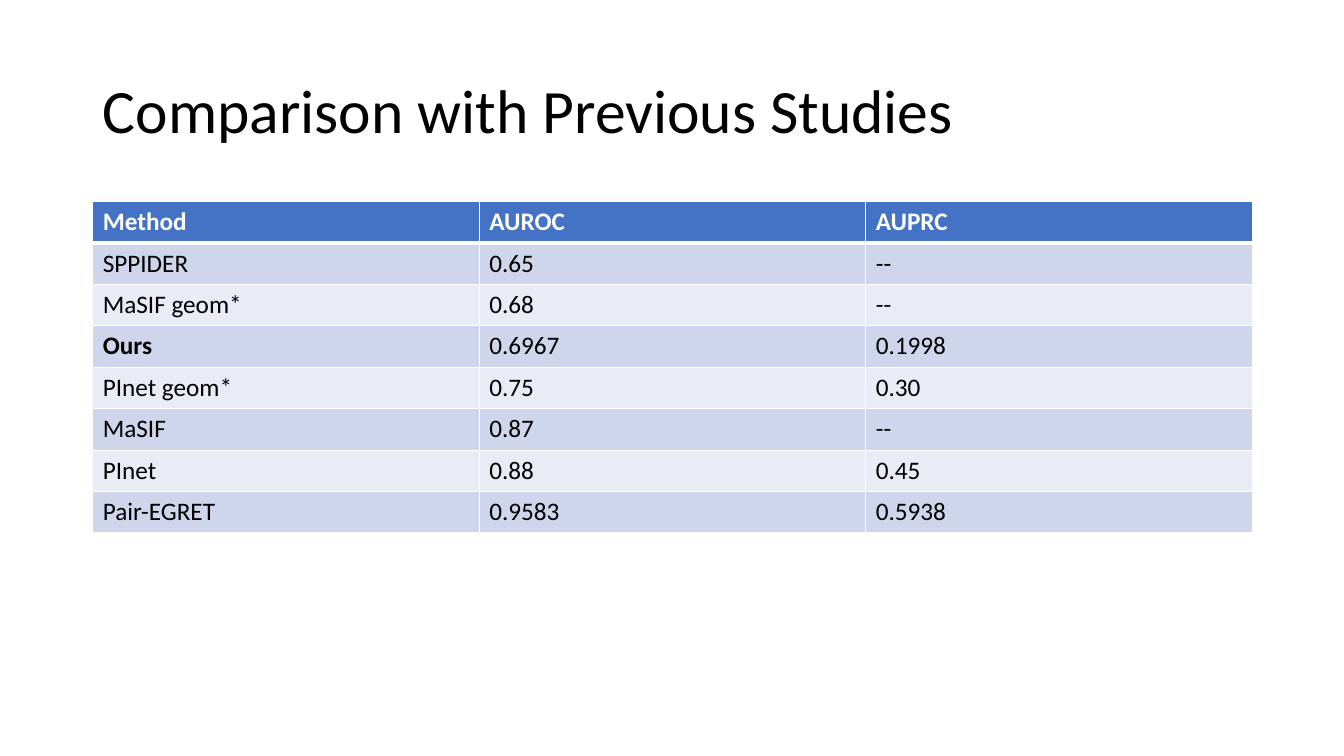
from lxml import etree
from pptx import Presentation
from pptx.dml.color import RGBColor
from pptx.enum.text import MSO_ANCHOR, PP_ALIGN
from pptx.oxml.ns import qn
from pptx.util import Inches, Pt

LEFT = PP_ALIGN.LEFT
MIDDLE = MSO_ANCHOR.MIDDLE
TITLE_ONLY = 5

BLACK = RGBColor(0x00, 0x00, 0x00)
WHITE = RGBColor(0xFF, 0xFF, 0xFF)
HEADER_BLUE = RGBColor(0x44, 0x72, 0xC4)
BAND_DARK = RGBColor(0xCF, 0xD5, 0xEA)
BAND_LIGHT = RGBColor(0xE9, 0xEB, 0xF5)

TITLE_BOX = (0.92, 0.4, 11.5, 1.45)
TABLE_BOX = (0.92, 2, 11.5, 3.29)

RESULTS = [
    ("Method", "AUROC", "AUPRC"),
    ("SPPIDER", "0.65", "--"),
    ("MaSIF geom*", "0.68", "--"),
    ("Ours", "0.6967", "0.1998"),
    ("PInet geom*", "0.75", "0.30"),
    ("MaSIF", "0.87", "--"),
    ("PInet", "0.88", "0.45"),
    ("Pair-EGRET", "0.9583", "0.5938"),
]


def write_text(frame, text, color, **formats):
    para = frame.paragraphs[0]
    para.alignment = LEFT
    span = para.add_run()
    span.text = text
    span.font.color.rgb = color
    for name, value in {"name": "Calibri", **formats}.items():
        setattr(span.font, name, value)
    return para


def add_title(page, box):
    title = page.shapes.title
    title.left, title.top, title.width, title.height = map(Inches, box)
    frame = title.text_frame
    frame.vertical_anchor = MIDDLE
    para = write_text(frame, "Comparison with Previous Studies", BLACK, size=Pt(44))
    para.line_spacing = 0.9


def set_borders(cell, widths):
    properties = cell._tc.get_or_add_tcPr()
    for side, width in widths.items():
        line = etree.SubElement(properties, qn(f"a:ln{side}"), w=str(Pt(width)))
        fill = etree.SubElement(line, qn("a:solidFill"))
        etree.SubElement(fill, qn("a:srgbClr"), val=str(WHITE))


def add_results_table(page, box):
    frame = page.shapes.add_table(len(RESULTS), len(RESULTS[0]), *map(Inches, box))
    for row_index, record in enumerate(RESULTS):
        is_header = row_index == 0
        band = BAND_DARK if row_index % 2 else BAND_LIGHT
        widths = {
            "L": 1,
            "R": 1,
            "T": 3 if row_index == 1 else 1,
            "B": 3 if is_header else 1,
        }
        for column_index, text in enumerate(record):
            cell = frame.table.cell(row_index, column_index)
            set_borders(cell, widths)
            cell.fill.solid()
            cell.fill.fore_color.rgb = HEADER_BLUE if is_header else band
            write_text(
                cell.text_frame,
                text,
                WHITE if is_header else BLACK,
                size=Pt(18),
                bold=is_header or text == "Ours",
            )


def main():
    deck = Presentation()
    deck.slide_width = Inches(13.33)
    deck.slide_height = Inches(7.5)
    page = deck.slides.add_slide(deck.slide_layouts[TITLE_ONLY])
    add_title(page, TITLE_BOX)
    add_results_table(page, TABLE_BOX)
    deck.save("out.pptx")


if __name__ == "__main__":
    main()
